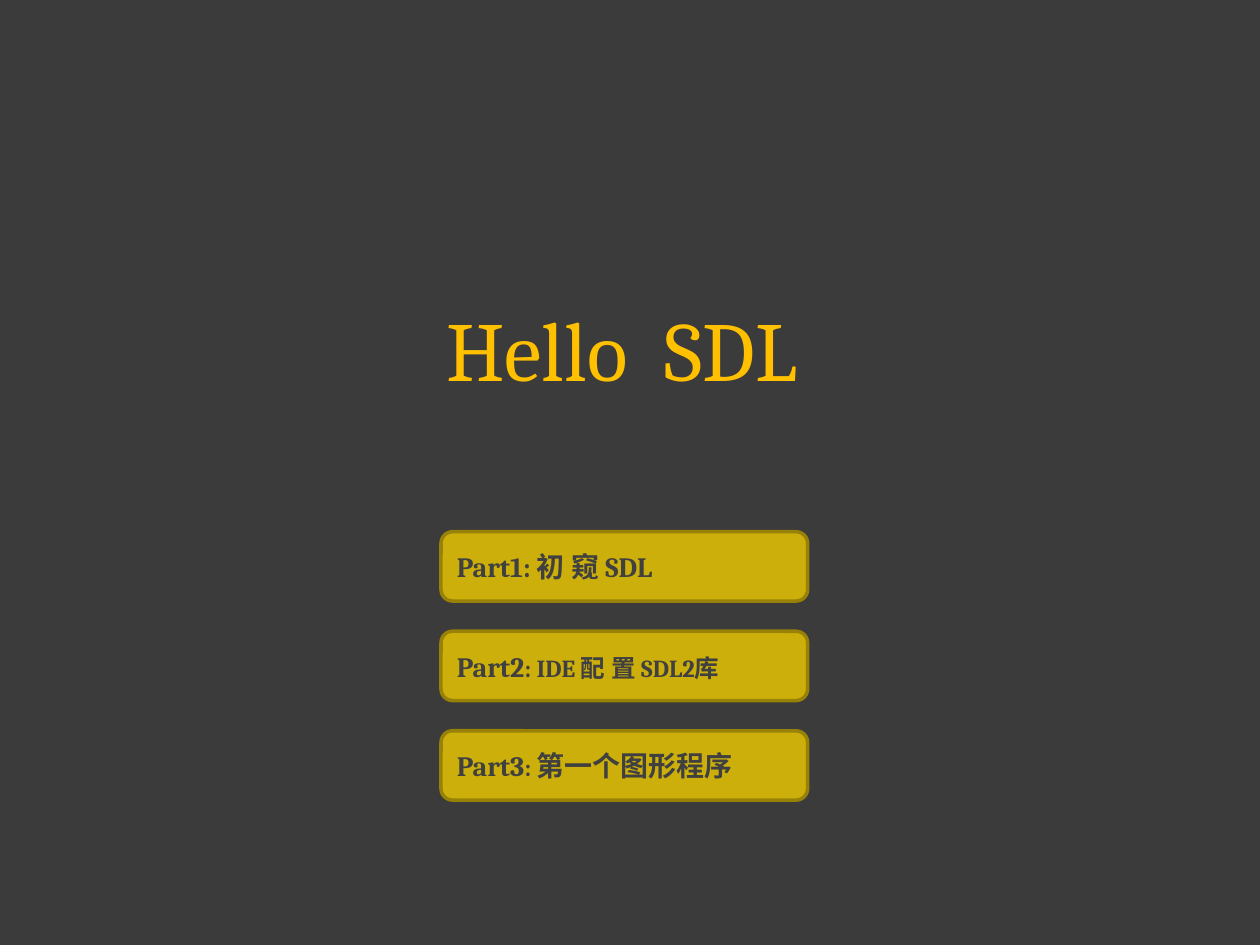
"""Build the opening slide of an SDL course with its three part labels."""
from dataclasses import dataclass

from pptx import Presentation
from pptx.dml.color import RGBColor
from pptx.enum.shapes import MSO_SHAPE as Shape
from pptx.enum.text import MSO_ANCHOR as Anchor, PP_ALIGN as Align
from pptx.util import Inches, Pt


@dataclass(frozen=True)
class Theme:
    font: str = "Cambria"
    background: RGBColor = RGBColor(0x3B, 0x3B, 0x3B)
    title: RGBColor = RGBColor(0xFF, 0xC0, 0x00)
    fill: RGBColor = RGBColor(0xCC, 0xAF, 0x0A)
    line: RGBColor = RGBColor(0x97, 0x81, 0x07)
    text: RGBColor = RGBColor(0x40, 0x40, 0x40)
    title_size: int = 48
    large: int = 16
    small: int = 14
    border: int = 2


theme = Theme()


def apply(target, formats):
    for name, value in formats.items():
        setattr(target, name, value)


def add_span(para, text, size, color, bold):
    span = para.add_run()
    span.text = text
    apply(span.font, {"name": theme.font, "size": Pt(size), "bold": bold})
    span.font.color.rgb = color


deck = Presentation()
apply(deck, {"slide_width": Inches(10), "slide_height": Inches(7.5)})
page = deck.slides.add_slide(deck.slide_layouts[0])
page.background.fill.solid()
page.background.fill.fore_color.rgb = theme.background

subtitle = page.placeholders[1].element
subtitle.getparent().remove(subtitle)

title = page.shapes.title
apply(title, {"left": Inches(1.47), "top": Inches(1.54),
              "width": Inches(6.93), "height": Inches(2.44)})
apply(title.text_frame, {"vertical_anchor": Anchor.MIDDLE, "word_wrap": True})
heading = title.text_frame.paragraphs[0]
heading.alignment = Align.CENTER
add_span(heading, "Hello  SDL", theme.title_size, theme.title, False)

parts = [
    [("Part1: 初 窥 SDL", theme.large)],
    [("Part2", theme.large), (": IDE 配 置 SDL2库", theme.small)],
    [("Part3", theme.large), (": ", theme.small), ("第一个图形程序", theme.large)],
]
left, first_top, width, height, pitch = 3.5, 4.22, 2.91, 0.55, 0.79

for index, spans in enumerate(parts):
    box = page.shapes.add_shape(
        Shape.ROUNDED_RECTANGLE, Inches(left), Inches(first_top + index * pitch),
        Inches(width), Inches(height))
    box.shadow.inherit = False
    box.fill.solid()
    box.fill.fore_color.rgb = theme.fill
    box.line.color.rgb = theme.line
    box.line.width = Pt(theme.border)
    apply(box.text_frame, {"vertical_anchor": Anchor.MIDDLE, "word_wrap": True})
    para = box.text_frame.paragraphs[0]
    para.alignment = Align.LEFT
    for text, size in spans:
        add_span(para, text, size, theme.text, True)

deck.save("out.pptx")
